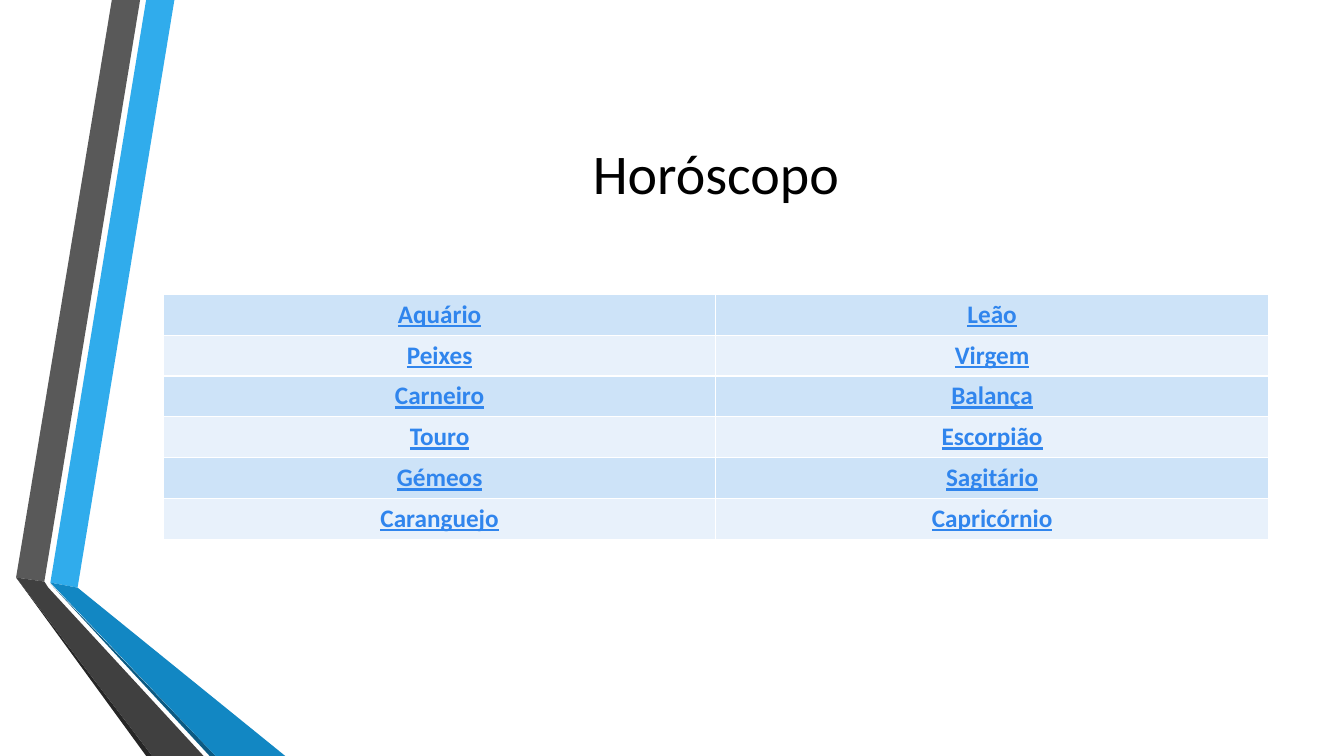
from dataclasses import dataclass

import pptx
import pptx.util
import pptx.dml.color
import pptx.enum.text
import pptx.oxml
import pptx.oxml.ns

Inches = pptx.util.Inches


@dataclass(frozen=True)
class Theme:
    font: str = "Calibri"
    title: int = 40
    body: int = 18
    ink: str = "000000"
    link: str = "3085ED"
    rule: str = "FFFFFF"
    bands: tuple = ("CDE3F8", "E8F1FB")
    sky: str = "30ACEC"
    blue: str = "1287C3"
    navy: str = "0C5A82"
    gray: str = "595959"
    dark: str = "404040"
    black: str = "262626"


THEME = Theme()

RIBBONS = (
    (THEME.sky, [(0.5, 5.78), (0.77, 5.83), (1.73, 0), (1.45, 0)]),
    (THEME.gray, [(1.39, 0), (1.11, 0), (0.16, 5.73), (0.44, 5.77)]),
    (THEME.black, [(0.16, 5.73), (1.45, 7.5), (1.51, 7.5)]),
    (THEME.navy, [(0.5, 5.79), (2.08, 7.5), (2.14, 7.5)]),
    (THEME.blue, [(0.5, 5.78), (2.14, 7.5), (2.83, 7.5), (0.77, 5.83)]),
    (THEME.dark, [(2.02, 7.5), (0.48, 5.83), (0.44, 5.77), (0.16, 5.73), (1.51, 7.5)]),
)

SIGNS = (
    ("Aquário", "Leão"),
    ("Peixes", "Virgem"),
    ("Carneiro", "Balança"),
    ("Touro", "Escorpião"),
    ("Gémeos", "Sagitário"),
    ("Caranguejo", "Capricórnio"),
)


def paint(fill, color):
    fill.solid()
    fill.fore_color.rgb = pptx.dml.color.RGBColor.from_string(color)


def write(frame, text, size, color, strong=False):
    line = frame.paragraphs[0]
    line.text = text
    line.alignment = pptx.enum.text.PP_ALIGN.CENTER
    font = line.font
    font.name = THEME.font
    font.size = pptx.util.Pt(size)
    font.bold = font.underline = strong
    font.color.rgb = pptx.dml.color.RGBColor.from_string(color)


def add_ribbon(slide, color, points):
    start, *rest = [(Inches(x), Inches(y)) for x, y in points]
    pen = slide.shapes.build_freeform(*start)
    pen.add_line_segments(rest, close=True)
    shape = pen.convert_to_shape()
    shape.shadow.inherit = False
    paint(shape.fill, color)
    shape.line.fill.background()


def add_title(slide, text):
    box = slide.shapes.add_textbox(Inches(1.62), Inches(0.75), Inches(10.96), Inches(1.92))
    frame = box.text_frame
    frame.word_wrap = True
    frame.vertical_anchor = pptx.enum.text.MSO_ANCHOR.MIDDLE
    write(frame, text, THEME.title, THEME.ink)


def add_rules(cell):
    props = cell._tc.get_or_add_tcPr()
    for side in "LRTB":
        props.append(pptx.oxml.parse_xml(
            f'<a:ln{side} {pptx.oxml.ns.nsdecls("a")} w="12700"><a:solidFill>'
            f'<a:srgbClr val="{THEME.rule}"/></a:solidFill></a:ln{side}>'))


def add_grid(slide, rows):
    grid = slide.shapes.add_table(
        len(rows), len(rows[0]),
        Inches(1.62), Inches(2.92), Inches(10.96), Inches(2.43)).table
    grid.first_row = False
    for r, row in enumerate(rows):
        for c, name in enumerate(row):
            cell = grid.cell(r, c)
            add_rules(cell)
            paint(cell.fill, THEME.bands[r % 2])
            write(cell.text_frame, name, THEME.body, THEME.link, strong=True)


def main():
    deck = pptx.Presentation()
    deck.slide_width = Inches(13.33)
    deck.slide_height = Inches(7.5)
    slide = deck.slides.add_slide(deck.slide_layouts[6])
    for color, points in RIBBONS:
        add_ribbon(slide, color, points)
    add_title(slide, "Horóscopo")
    add_grid(slide, SIGNS)
    deck.save("out.pptx")


if __name__ == "__main__":
    main()
